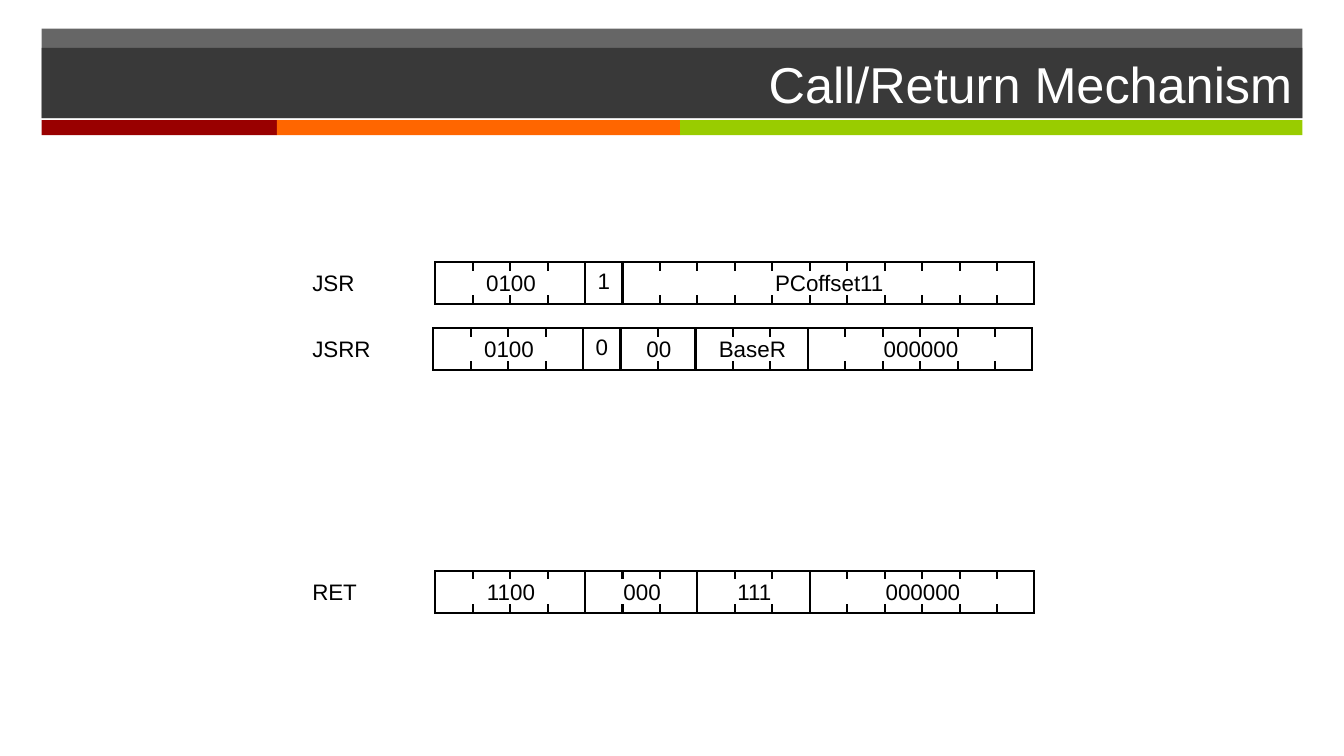
from dataclasses import dataclass

from lxml import etree
from pptx import Presentation
from pptx import util as u
from pptx.dml.color import RGBColor
from pptx.enum import shapes, text
from pptx.oxml.ns import qn


@dataclass(frozen=True)
class Theme:
    font: str = "Arial"
    ink: str = "000000"
    light: str = "FFFFFF"
    bar: str = "262626"
    red: str = "990000"
    orange: str = "FF6600"
    green: str = "99CC00"
    title: int = 36
    body: int = 16
    line: float = 1.5


theme = Theme()
deck = Presentation()
deck.slide_width, deck.slide_height = u.Cm(33.87), u.Cm(19.05)
slide = deck.slides.add_slide(deck.slide_layouts[6])
items = slide.shapes


def block(left, top, width, height, fill=None, alpha=None):
    """Add a filled rectangle, or an outlined one when no fill is given."""
    rect = items.add_shape(shapes.MSO_SHAPE.RECTANGLE,
                           *map(u.Cm, (left, top, width, height)))
    rect.shadow.inherit = False
    if fill:
        rect.fill.solid()
        rect.fill.fore_color.rgb = RGBColor.from_string(fill)
        rect.line.fill.background()
    else:
        rect.fill.background()
        rect.line.color.rgb = RGBColor.from_string(theme.ink)
        rect.line.width = u.Pt(theme.line)
        edge = rect._element.spPr.find(qn("a:ln"))
        etree.SubElement(edge, qn("a:miter")).set("lim", "800000")
    if alpha:
        tint = rect.fill._xPr.find(".//" + qn("a:srgbClr"))
        etree.SubElement(tint, qn("a:alpha")).set("val", str(alpha * 1000))
    return rect


def write(shape, words, size, color, align, anchor, wrap=True):
    frame = shape.text_frame
    frame.text = words
    frame.word_wrap = wrap
    frame.vertical_anchor = anchor
    para = frame.paragraphs[0]
    para.alignment = align
    font = para.runs[0].font
    font.name, font.size = theme.font, u.Pt(size)
    font.color.rgb = RGBColor.from_string(color)


ALIGN, ANCHOR = text.PP_ALIGN, text.MSO_ANCHOR

# Header
EDGE, SPAN = 1.05, 31.77
block(EDGE, 0.72, SPAN, 2.26, theme.bar, 70)
left = EDGE
for color, width in ((theme.red, 5.93), (theme.orange, 10.16),
                     (theme.green, 15.68)):
    block(left, 3.03, width, 0.38, color)
    left += width
title = block(EDGE, 1.21, SPAN, 1.77, theme.bar, 70)
write(title, "Call/Return Mechanism", theme.title, theme.light,
      ALIGN.RIGHT, ANCHOR.MIDDLE)

# Instruction formats: name, left, top, fields as (bits, content)
BIT, HIGH, TICK = 15.1 / 16, 1.06, 0.22
DROP, TALL = 0.06, 0.93
rows = (
    ("JSR", 10.97, 6.6, ((4, "0100"), (1, "1"), (11, "PCoffset11"))),
    ("JSRR", 10.92, 8.26,
     ((4, "0100"), (1, "0"), (2, "00"), (3, "BaseR"), (6, "000000"))),
    ("RET", 10.97, 14.38,
     ((4, "1100"), (3, "000"), (3, "111"), (6, "000000"))),
)
for name, left, top, fields in rows:
    label = items.add_textbox(*map(u.Cm, (7.62, top + DROP, 2.2, TALL)))
    write(label, name, theme.body, theme.ink, ALIGN.LEFT, ANCHOR.TOP)
    for bits, value in fields:
        width = bits * BIT
        field = block(left, top, width, HIGH)
        if bits == 1:
            write(field, value, theme.body, theme.ink, ALIGN.CENTER,
                  ANCHOR.TOP)
        for bit in range(1, bits):
            x = left + bit * BIT
            for y in (top, top + HIGH - TICK):
                tick = items.add_connector(
                    shapes.MSO_CONNECTOR.STRAIGHT,
                    *map(u.Cm, (x, y, x, y + TICK)))
                tick.line.color.rgb = RGBColor.from_string(theme.ink)
                tick.line.width = u.Pt(theme.line)
                etree.SubElement(tick._element.spPr, qn("a:effectLst"))
        if bits > 1:
            wide = 0.65 + 0.32 * len(value)
            start = left + (width - wide) / 2 + 0.02
            note = items.add_textbox(
                *map(u.Cm, (start, top + DROP, wide, TALL)))
            write(note, value, theme.body, theme.ink, ALIGN.CENTER,
                  ANCHOR.TOP, wrap=False)
        left += width

deck.save("out.pptx")
